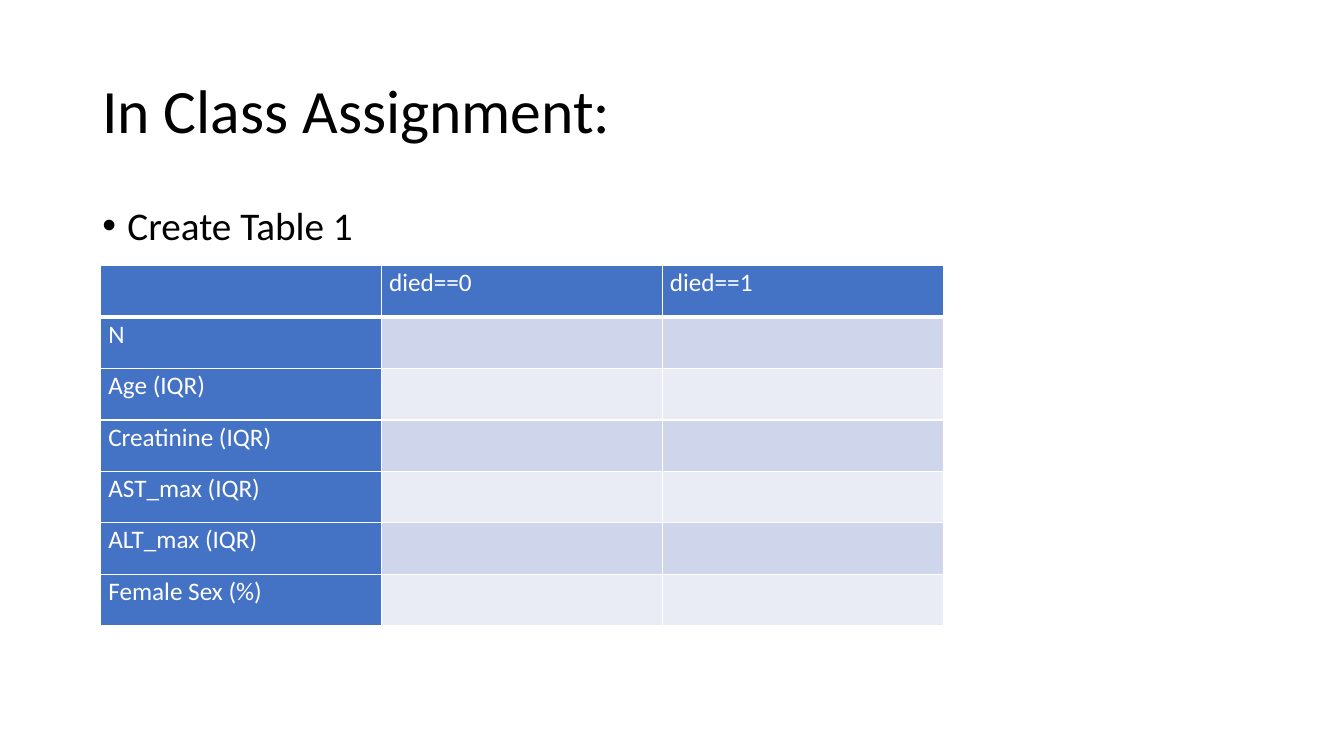
"""Build the in-class assignment slide with an empty Table 1 to fill in."""
import pptx
import pptx.dml.color
import pptx.enum.text
import pptx.oxml
import pptx.oxml.ns
import pptx.util

Pt = pptx.util.Pt
COLORS = {
    "text": "000000",
    "white": "FFFFFF",
    "header": "4472C4",
    "band_dark": "CFD5EA",
    "band_light": "E9EBF5",
}
MEASURES = ["N", "Age (IQR)", "Creatinine (IQR)", "AST_max (IQR)",
            "ALT_max (IQR)", "Female Sex (%)"]
OUTCOMES = ["died==0", "died==1"]


def rgb(name):
    return pptx.dml.color.RGBColor.from_string(COLORS[name])


def write(frame, text, font, size, color="text", spacing=0.9, before=0, bullet=None):
    paragraph = frame.paragraphs[0]
    paragraph.line_spacing = spacing
    paragraph.space_before = Pt(before)
    run = paragraph.add_run()
    run.text = text
    run.font.name = font
    run.font.size = Pt(size)
    run.font.bold = False
    run.font.color.rgb = rgb(color)
    if bullet:
        properties = paragraph._p.get_or_add_pPr()
        properties.set("marL", str(Pt(18)))
        properties.set("indent", str(-Pt(18)))
        namespace = pptx.oxml.ns.nsdecls("a")
        for xml in (f'<a:buFont {namespace} typeface="Arial"/>',
                    f'<a:buChar {namespace} char="{bullet}"/>'):
            properties.append(pptx.oxml.parse_xml(xml))


class AssignmentSlide:
    def __init__(self, slide, font):
        self.slide = slide
        self.font = font

    def text(self, text, left, top, width, height, anchor, **style):
        box = self.slide.shapes.add_textbox(Pt(left), Pt(top), Pt(width), Pt(height))
        box.text_frame.word_wrap = True
        box.text_frame.vertical_anchor = anchor
        write(box.text_frame, text, self.font, **style)

    def cell(self, cell, text, fill, bottom_width):
        cell.fill.solid()
        cell.fill.fore_color.rgb = rgb(fill)
        if text:
            cell.margin_left = cell.margin_right = Pt(5.4)
            cell.margin_top = cell.margin_bottom = 0
            write(cell.text_frame, text, self.font, 18, "white", spacing=1.07)
        widths = {"L": 1, "R": 1, "T": 1, "B": bottom_width}
        for position, (side, width) in enumerate(widths.items()):
            border = pptx.oxml.parse_xml(
                f'<a:ln{side} {pptx.oxml.ns.nsdecls("a")} w="{Pt(width)}"><a:solidFill>'
                f'<a:srgbClr val="{COLORS["white"]}"/></a:solidFill></a:ln{side}>')
            cell._tc.get_or_add_tcPr().insert(position, border)

    def table(self, rows, left, top, column_width, row_height):
        column_count = len(rows[0])
        table = self.slide.shapes.add_table(
            len(rows), column_count, Pt(left), Pt(top),
            Pt(column_width * column_count), Pt(row_height * len(rows))).table
        table.first_row = table.horz_banding = False
        for column in table.columns:
            column.width = Pt(column_width)
        for row_index, row in enumerate(rows):
            table.rows[row_index].height = Pt(row_height)
            band = "band_dark" if row_index % 2 else "band_light"
            for column_index, text in enumerate(row):
                is_header = row_index == 0 or column_index == 0
                self.cell(table.cell(row_index, column_index), text,
                          "header" if is_header else band,
                          3 if row_index == 0 else 1)


def main():
    presentation = pptx.Presentation()
    presentation.slide_width, presentation.slide_height = Pt(960), Pt(540)
    page = presentation.slides.add_slide(presentation.slide_layouts[6])
    assignment = AssignmentSlide(page, "Calibri")
    anchors = pptx.enum.text.MSO_ANCHOR
    assignment.text("In Class Assignment:", 66, 28.75, 828, 104.4, anchors.MIDDLE, size=44)
    assignment.text("Create Table 1", 66, 143.75, 828, 342.6, anchors.TOP,
                    size=28, before=10, bullet="•")
    rows = [["", *OUTCOMES]] + [[measure, "", ""] for measure in MEASURES]
    assignment.table(rows, 72, 189.75, column_width=200.6, row_height=36.75)
    presentation.save("out.pptx")


if __name__ == "__main__":
    main()
